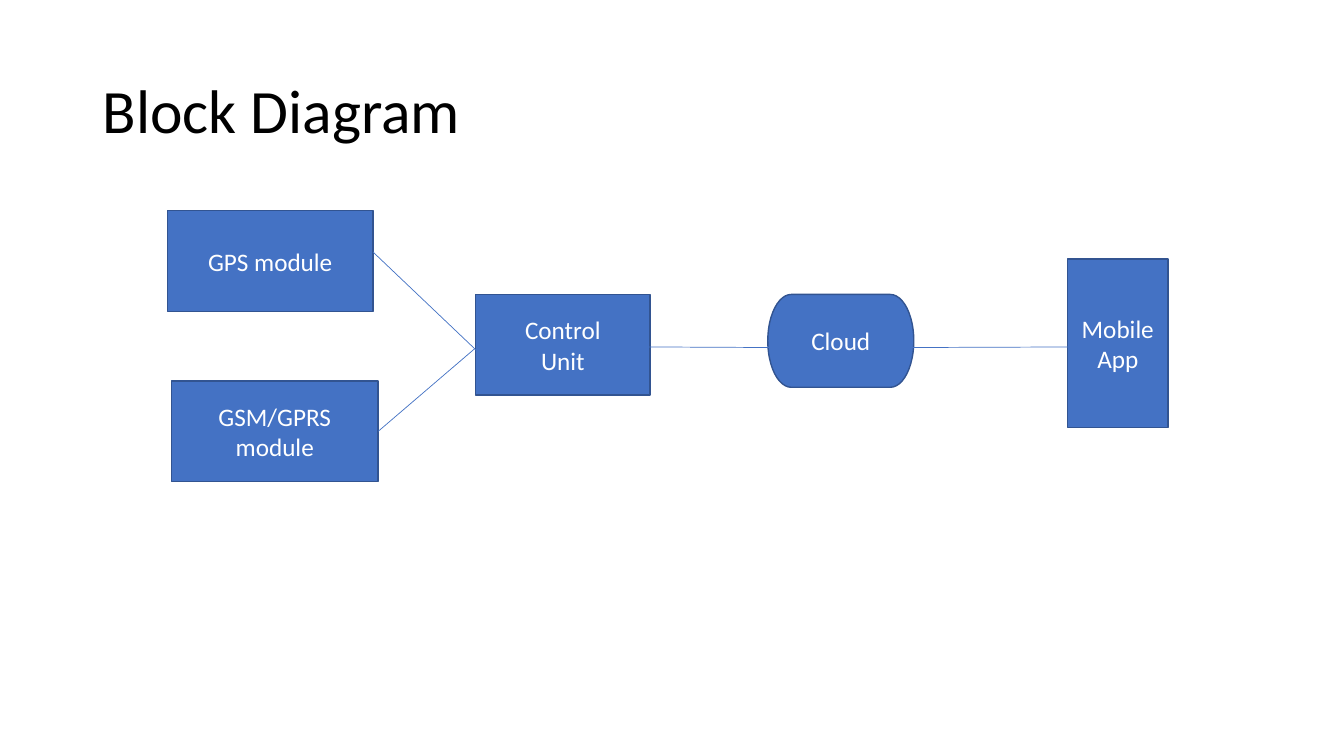
"""Draw the block diagram of a tracking system on one slide."""
from typing import NamedTuple, Optional

from pptx import Presentation
from pptx.dml.color import RGBColor as Rgb
from pptx.enum.shapes import MSO_CONNECTOR as Wire, MSO_SHAPE as Form
from pptx.enum.text import MSO_ANCHOR as Anchor, PP_ALIGN as Align
from pptx.oxml.ns import qn
from pptx.util import Cm, Pt

HUES = {"fill": "4472C4", "edge": "325491", "label": "FFFFFF", "title": "000000"}


class Block(NamedTuple):
    text: str
    left: float
    top: float
    width: float
    height: float
    form: Form = Form.RECTANGLE


class Link(NamedTuple):
    x1: float
    y1: float
    x2: float
    y2: float
    source: Optional[str] = None


BLOCKS = [
    Block("GPS module", 4.22, 5.31, 5.18, 2.54),
    Block("GSM/GPRS module", 4.32, 9.6, 5.21, 2.54),
    Block("Control\nUnit", 11.99, 7.42, 4.39, 2.54),
    Block("Cloud", 19.35, 7.42, 3.68, 2.34, Form.FLOWCHART_TERMINATOR),
    Block("Mobile\nApp", 26.9, 6.53, 2.54, 4.24, Form.FLOWCHART_PROCESS),
]
LINKS = [
    Link(9.4, 6.35, 12.07, 8.89),
    Link(9.53, 10.87, 11.96, 8.79, "GSM/GPRS module"),
    Link(15.8, 8.74, 20.07, 8.76),
    Link(22.1, 8.76, 27.86, 8.74),
]


def tint(key: str) -> Rgb:
    return Rgb.from_string(HUES[key])


def write(shape, text: str, size: int, hue: str, align: Align) -> None:
    frame = shape.text_frame
    frame.text = text
    frame.word_wrap = True
    frame.vertical_anchor = Anchor.MIDDLE
    for para in frame.paragraphs:
        para.alignment = align
        for run in para.runs:
            run.font.name = "Calibri"
            run.font.size = Pt(size)
            run.font.color.rgb = tint(hue)


def draw_block(slide, block: Block):
    shape = slide.shapes.add_shape(block.form, *map(Cm, block[1:5]))
    shape.shadow.inherit = False
    shape.fill.solid()
    shape.fill.fore_color.rgb = tint("fill")
    shape.line.color.rgb = tint("edge")
    shape.line.width = Pt(1)
    write(shape, block.text, 18, "label", Align.CENTER)
    return shape


def draw_link(slide, link: Link, drawn: dict) -> None:
    line = slide.shapes.add_connector(Wire.STRAIGHT, *map(Cm, link[:4]))
    line.line.color.rgb = tint("fill")
    line.line.width = Pt(0.5)
    props = line._element.spPr
    props.append(props.makeelement(qn("a:effectLst"), {}))
    if link.source:
        line.begin_connect(drawn[link.source], 3)


def main() -> None:
    deck = Presentation()
    deck.slide_width, deck.slide_height = Cm(33.87), Cm(19.05)
    slide = deck.slides.add_slide(deck.slide_layouts[6])
    drawn = {block.text: draw_block(slide, block) for block in BLOCKS}
    for link in LINKS:
        draw_link(slide, link, drawn)
    title = slide.shapes.add_textbox(Cm(2.34), Cm(1.02), Cm(29.21), Cm(3.68))
    write(title, "Block Diagram", 44, "title", Align.LEFT)
    title.text_frame.paragraphs[0].line_spacing = 0.9
    deck.save("out.pptx")


if __name__ == "__main__":
    main()
